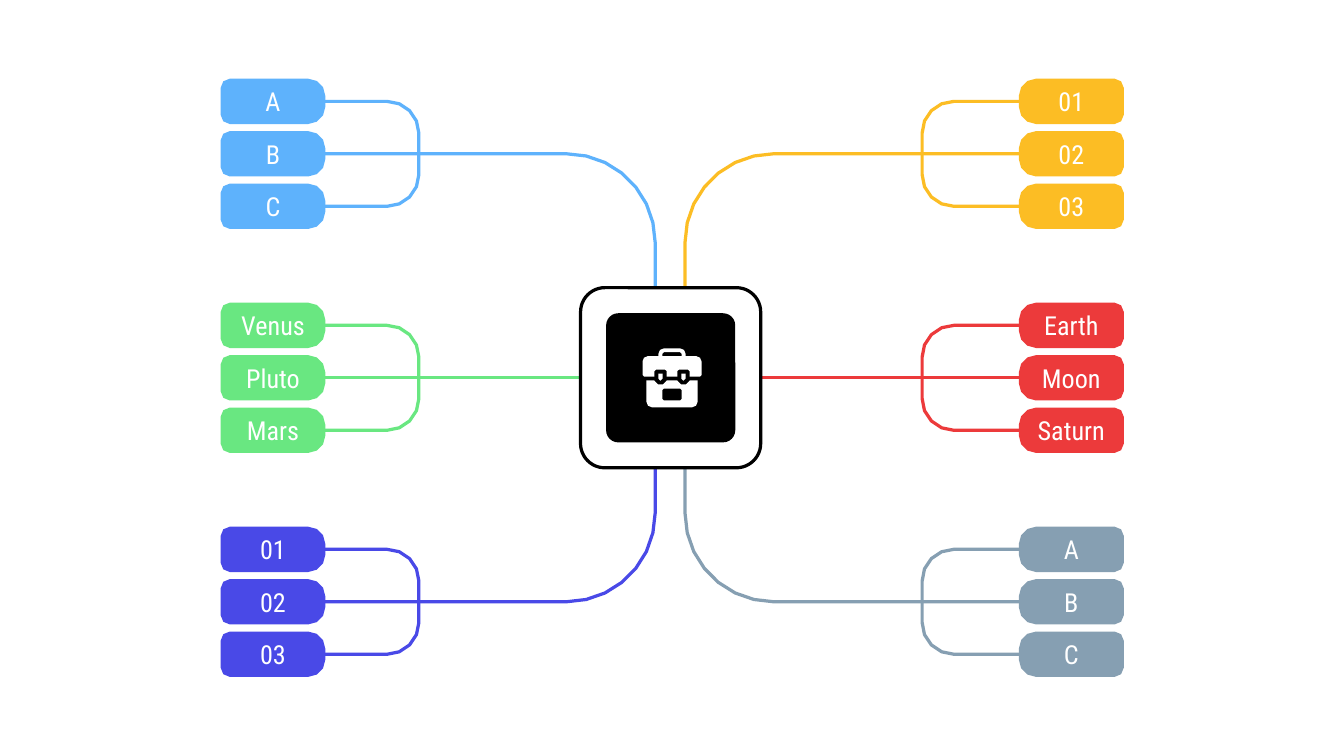
from math import cos, dist, pi, sin, sqrt

from lxml.etree import SubElement
from pptx import Presentation
from pptx.dml.color import RGBColor
from pptx.enum.shapes import MSO_CONNECTOR, MSO_SHAPE
from pptx.enum.text import MSO_ANCHOR, PP_ALIGN
from pptx.oxml.ns import qn
from pptx.util import Pt

FONT = "Roboto Condensed"
LINE_WIDTH = 1.73
HUB_X, HUB_Y = 359.3, 202.4
ICON_X = 360
ROW_PITCH = 28.1
BRANCH_PITCH = 120
TAB_HEIGHT = 24.3

LEFT = {"outer": 118.2, "inner": 174.3, "start": 173, "bracket": 224.4,
        "stem": 351, "hub_end": 342}
RIGHT = {"outer": 602, "inner": 545.8, "start": 545.8, "bracket": 494,
         "stem": 367, "hub_end": 364.5}

BRANCHES = [
    (LEFT, -1, "5EB2FC", ["A", "B", "C"]),
    (LEFT, 0, "69E781", ["Venus", "Pluto", "Mars"]),
    (LEFT, 1, "4949E7", ["01", "02", "03"]),
    (RIGHT, -1, "FCBD24", ["01", "02", "03"]),
    (RIGHT, 0, "EC3A3B", ["Earth", "Moon", "Saturn"]),
    (RIGHT, 1, "869FB2", ["A", "B", "C"]),
]


def color(value):
    return RGBColor.from_string(value)


def round_corners(corners):
    outline = []
    for index, (x, y, radius) in enumerate(corners):
        if not radius:
            outline.append((x, y))
            continue
        before = corners[index - 1][:2]
        after = corners[(index + 1) % len(corners)][:2]
        to_before, to_after = dist((x, y), before), dist((x, y), after)
        steps = max(1, round(sqrt(radius)))
        for step in range(steps + 1):
            angle = step / steps * pi / 2
            back = radius * (1 - sin(angle)) / to_before
            ahead = radius * (1 - cos(angle)) / to_after
            outline.append((x + back * (before[0] - x) + ahead * (after[0] - x),
                            y + back * (before[1] - y) + ahead * (after[1] - y)))
    return outline


def paint(part, fill=None, line=None):
    part.shadow.inherit = False
    if fill:
        part.fill.solid()
        part.fill.fore_color.rgb = color(fill)
    else:
        part.fill.background()
    if line:
        part.line.color.rgb = color(line)
        part.line.width = Pt(LINE_WIDTH)
    else:
        part.line.fill.background()


def add_outline(shapes, contours, fill=None, line=None, close=True):
    builder = None
    for corners in contours:
        start, *rest = [(Pt(x), Pt(y)) for x, y in round_corners(corners)]
        if builder is None:
            builder = shapes.build_freeform(*start)
        else:
            builder.move_to(*start)
        builder.add_line_segments(rest, close=close)
    outline = builder.convert_to_shape()
    paint(outline, fill, line)
    return outline


def add_bent_line(shapes, corners, hue):
    add_outline(shapes, [corners], line=hue, close=False)


def add_straight(shapes, start_x, end_x, y, hue):
    trunk = shapes.add_connector(MSO_CONNECTOR.STRAIGHT,
                                 Pt(start_x), Pt(y), Pt(end_x), Pt(y))
    trunk.line.color.rgb = color(hue)
    trunk.line.width = Pt(LINE_WIDTH)
    SubElement(trunk.element.spPr, qn("a:effectLst"))


def add_tab(shapes, side, y, hue, label):
    top, bottom = y - TAB_HEIGHT / 2, y + TAB_HEIGHT / 2
    tab = add_outline(shapes, [[(side["outer"], top, 4.9), (side["inner"], top, 9.2),
                                (side["inner"], bottom, 9.2),
                                (side["outer"], bottom, 4.9)]], fill=hue)
    frame = tab.text_frame
    frame.word_wrap = True
    frame.vertical_anchor = MSO_ANCHOR.MIDDLE
    frame.margin_left = frame.margin_right = Pt(7.2)
    frame.margin_top = frame.margin_bottom = Pt(7.2)
    paragraph = frame.paragraphs[0]
    paragraph.alignment = PP_ALIGN.CENTER
    run = paragraph.add_run()
    run.text = label
    run.font.name = FONT
    run.font.size = Pt(14)
    run.font.color.rgb = color("FFFFFF")


def add_branch(slide, side, level, hue, labels):
    shapes = slide.shapes.add_group_shape().shapes
    y = HUB_Y + level * BRANCH_PITCH
    start, bracket, stem = side["start"], side["bracket"], side["stem"]
    top, bottom = y - ROW_PITCH, y + ROW_PITCH
    add_bent_line(shapes, [(start, top, 0), (bracket, top, 17),
                           (bracket, bottom, 17), (start, bottom, 0)], hue)
    if level:
        add_bent_line(shapes, [(start, y, 0), (stem, y, 47.5),
                               (stem, HUB_Y + level * 35.2, 0)], hue)
    else:
        add_straight(shapes, start, side["hub_end"], y, hue)
    for row, label in enumerate(labels, start=-1):
        add_tab(shapes, side, y + row * ROW_PITCH, hue, label)


def add_rounded_square(shapes, size, radius, fill, line=None):
    square = shapes.add_shape(MSO_SHAPE.ROUNDED_RECTANGLE, Pt(HUB_X - size / 2),
                              Pt(HUB_Y - size / 2), Pt(size), Pt(size))
    square.adjustments[0] = radius / size
    paint(square, fill, line)


def mirror(right_half):
    right = [(ICON_X + x, y, radius) for x, y, radius in right_half]
    left = [(ICON_X - x, y, radius) for x, y, radius in reversed(right_half)]
    return right + left


def add_briefcase(shapes):
    for direction in (-1, 1):
        inner, outer = ICON_X + direction * 5, ICON_X + direction * 7.3
        add_outline(shapes, [[(inner, 200.2, 0), (outer, 200.2, 0),
                              (outer, 203.9, 1.1), (inner, 203.9, 1.1)]], "FFFFFF")
    body = [(2.9, 203.8, 0), (2.9, 206, 2), (9.4, 206, 2), (9.4, 203.8, 0),
            (13.7, 203.8, 0), (13.7, 218.2, 2.9)]
    lock = [(5.1, 208.2, 0.7), (5.1, 214.5, 0.7)]
    lid = [(7.3, 186.6, 3), (7.3, 190.8, 0), (15.8, 190.8, 2.8), (15.8, 201.7, 0.8),
           (9.4, 201.7, 0), (9.4, 198, 0.8), (2.9, 198, 0.8), (2.9, 201.7, 0)]
    handle_gap = [(5.1, 188.7, 0.8), (5.1, 190.8, 0)]
    for solid, hole in ((body, lock), (lid, handle_gap)):
        add_outline(shapes, [mirror(solid), mirror(hole)[::-1]], "FFFFFF")


def add_hub(slide):
    shapes = slide.shapes.add_group_shape().shapes
    add_rounded_square(shapes, 96.5, 13, "FFFFFF", "000000")
    add_rounded_square(shapes, 69.2, 6.5, "000000")
    add_briefcase(shapes)


def main():
    presentation = Presentation()
    presentation.slide_width = Pt(720)
    presentation.slide_height = Pt(405)
    slide = presentation.slides.add_slide(presentation.slide_layouts[6])
    for branch in BRANCHES:
        add_branch(slide, *branch)
    add_hub(slide)
    presentation.save("out.pptx")


if __name__ == "__main__":
    main()
